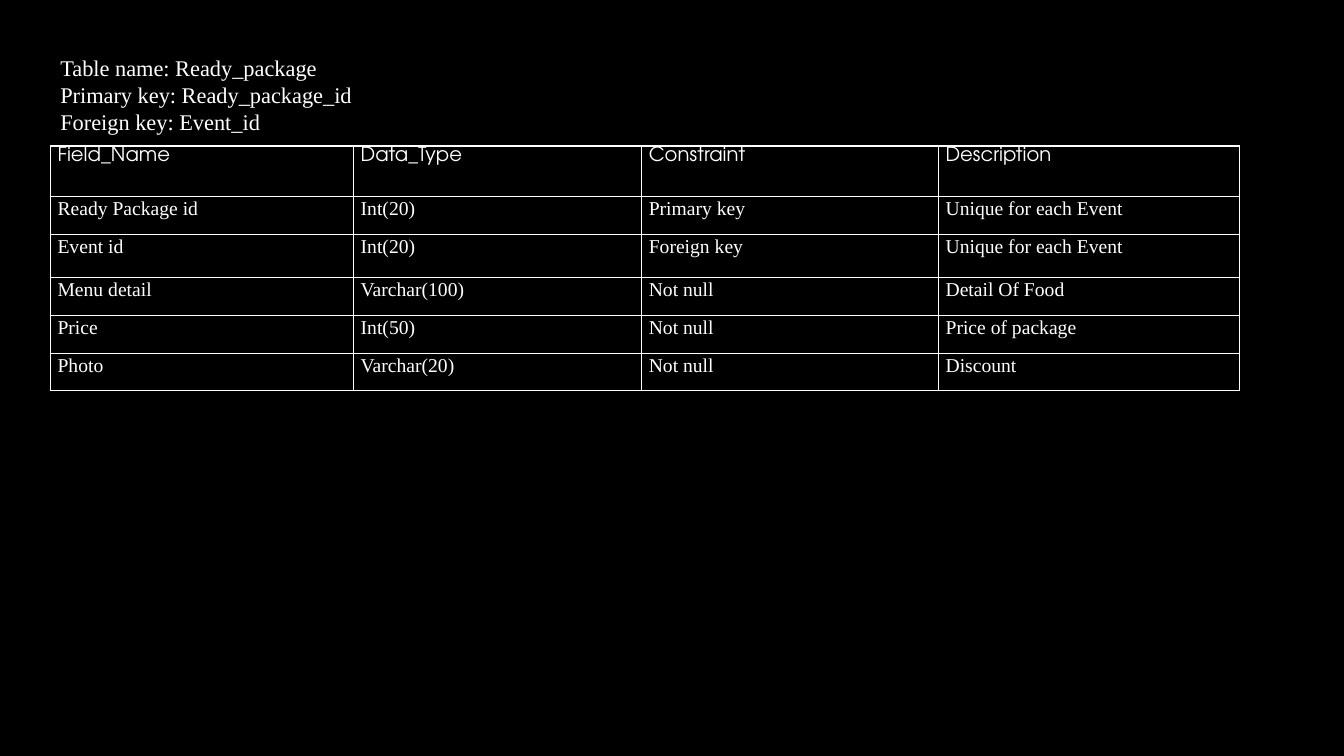
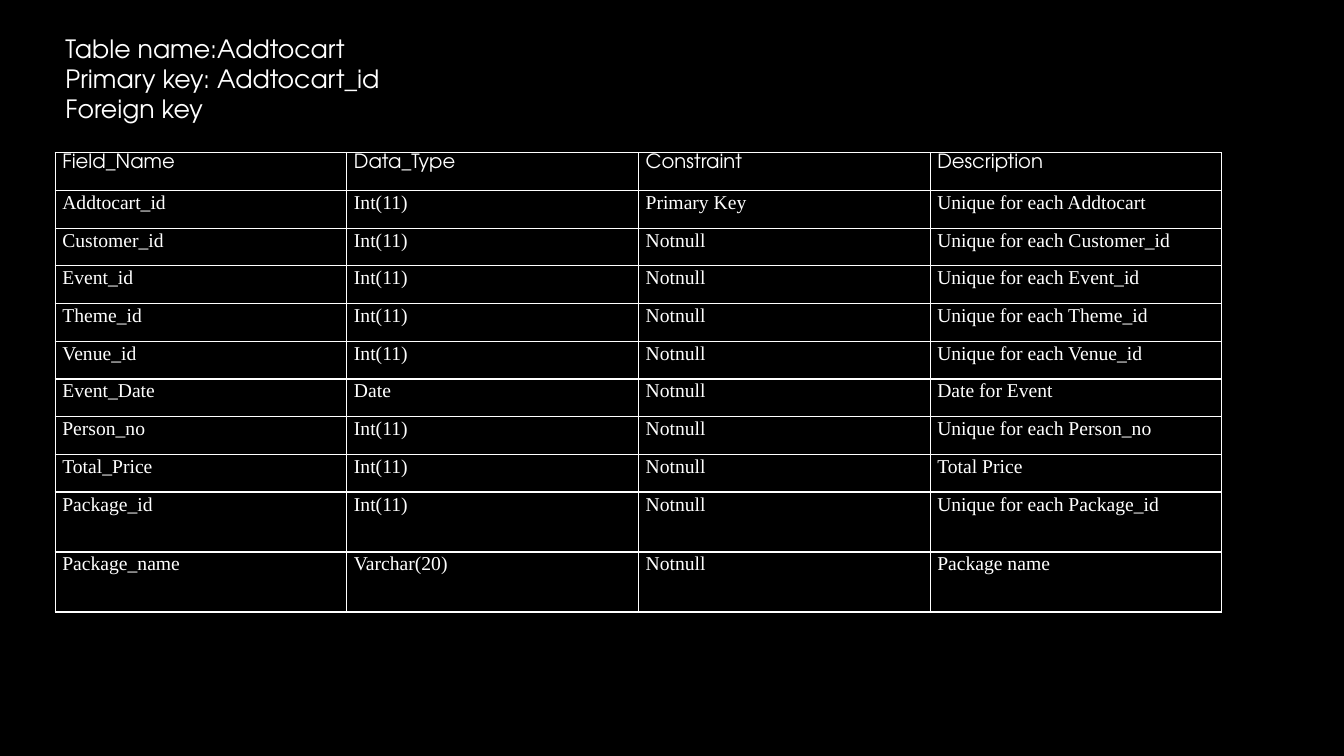
import pptx
import pptx.dml.color
import pptx.enum.text
import pptx.oxml
import pptx.oxml.ns
import pptx.util

Cm = pptx.util.Cm
Pt = pptx.util.Pt
ANCHOR = pptx.enum.text.MSO_ANCHOR
COLORS = {"background": "000000", "ink": "FFFFFF"}
SANS, SERIF = "TeX Gyre Adventor", "Times New Roman"
HEADER = ("Field_Name", "Data_Type", "Constraint", "Description")
HEADER_FORMAT = {"font": {"name": SANS, "size": Pt(14)}, "line_spacing": 1.06}
BODY_FORMAT = {"font": {"name": SERIF, "size": Pt(14)}, "line_spacing": 1.07}
CELL_FORMAT = {"margin_left": Cm(0.18), "margin_right": Cm(0.18),
               "margin_top": 0, "margin_bottom": 0, "vertical_anchor": ANCHOR.TOP}
ROW = 0.95

TABLES = [
    {
        "caption": ("Table name: Ready_package", "Primary key: Ready_package_id",
                    "Foreign key: Event_id"),
        "caption_box": (1.27, 1.22, 8, 2.31),
        "caption_font": {"name": SERIF, "size": Pt(16)},
        "anchor": ANCHOR.MIDDLE,
        "origin": (1.27, 3.68),
        "cols": (7.64, 7.26, 7.48, 7.58),
        "heights": (1.28, ROW, 1.09, ROW, ROW, ROW),
        "rows": [
            ("Ready Package id", "Int(20)", "Primary key", "Unique for each Event"),
            ("Event id", "Int(20)", "Foreign key", "Unique for each Event"),
            ("Menu detail", "Varchar(100)", "Not null", "Detail Of Food"),
            ("Price", "Int(50)", "Not null", "Price of package"),
            ("Photo", "Varchar(20)", "Not null", "Discount"),
        ],
    },
    {
        "caption": ("Table name:Addtocart", "Primary key: Addtocart_id", "Foreign key"),
        "caption_box": (1.4, 0.71, 16.94, 2.57),
        "caption_font": {"name": SANS, "size": Pt(18)},
        "anchor": ANCHOR.TOP,
        "origin": (1.39, 3.85),
        "cols": (7.35,) * 4,
        "heights": (ROW,) * 9 + (1.51,) * 2,
        "rows": [
            ("Addtocart_id", "Int(11)", "Primary Key", "Unique for each Addtocart"),
            ("Customer_id", "Int(11)", "Notnull", "Unique for each Customer_id"),
            ("Event_id", "Int(11)", "Notnull", "Unique for each Event_id"),
            ("Theme_id", "Int(11)", "Notnull", "Unique for each Theme_id"),
            ("Venue_id", "Int(11)", "Notnull", "Unique for each Venue_id"),
            ("Event_Date", "Date", "Notnull", "Date for Event"),
            ("Person_no", "Int(11)", "Notnull", "Unique for each Person_no"),
            ("Total_Price", "Int(11)", "Notnull", "Total Price"),
            ("Package_id", "Int(11)", "Notnull", "Unique for each Package_id"),
            ("Package_name", "Varchar(20)", "Notnull", "Package name"),
        ],
    },
]


def rgb(name):
    """Return the named colour."""
    return pptx.dml.color.RGBColor.from_string(COLORS[name])


def set_attrs(target, values):
    """Set each attribute of the target from a dict."""
    for name, value in values.items():
        setattr(target, name, value)


def write(p, text, font):
    """Write one run in the shared ink colour."""
    r = p.add_run()
    r.text = text
    set_attrs(r.font, font)
    r.font.color.rgb = rgb("ink")


def add_caption(s, box, lines, font, anchor):
    """Place the table's name and keys in the box."""
    tf = s.shapes.add_textbox(*map(Cm, box)).text_frame
    set_attrs(tf, {"word_wrap": True, "vertical_anchor": anchor})
    for i, line in enumerate(lines):
        write(tf.add_paragraph() if i else tf.paragraphs[0], line, font)


def add_borders(cell):
    """Draw a thin line on all four sides of a cell."""
    tc_pr = cell._tc.get_or_add_tcPr()
    for side in ("lnL", "lnR", "lnT", "lnB"):
        tc_pr.append(pptx.oxml.parse_xml(
            f'<a:{side} {pptx.oxml.ns.nsdecls("a")} w="{Pt(1)}"><a:solidFill>'
            f'<a:srgbClr val="{COLORS["ink"]}"/></a:solidFill></a:{side}>'))


def fill_cell(cell, text, style):
    """Format one cell and write its text."""
    set_attrs(cell, CELL_FORMAT)
    add_borders(cell)
    cell.fill.background()
    p = cell.text_frame.paragraphs[0]
    p.line_spacing = style["line_spacing"]
    write(p, text, style["font"])


def add_field_table(s, origin, cols, heights, rows):
    """Place the grid of fields with its top left corner at the origin."""
    size = (sum(cols), sum(heights))
    table = s.shapes.add_table(len(heights), len(cols), *map(Cm, origin + size)).table
    set_attrs(table, {"first_row": False, "horz_banding": False})
    for col, width in zip(table.columns, cols):
        col.width = Cm(width)
    for i, (row, height, texts) in enumerate(zip(table.rows, heights, [HEADER] + rows)):
        row.height = Cm(height)
        for cell, text in zip(row.cells, texts):
            fill_cell(cell, text, BODY_FORMAT if i else HEADER_FORMAT)


def add_table_slide(prs, data):
    """Build a slide that describes one database table."""
    s = prs.slides.add_slide(prs.slide_layouts[6])
    s.background.fill.solid()
    s.background.fill.fore_color.rgb = rgb("background")
    add_caption(s, data["caption_box"], data["caption"], data["caption_font"], data["anchor"])
    add_field_table(s, data["origin"], data["cols"], data["heights"], data["rows"])


def main():
    """Build and save the presentation."""
    prs = pptx.Presentation()
    set_attrs(prs, {"slide_width": Cm(33.87), "slide_height": Cm(19.05)})
    for data in TABLES:
        add_table_slide(prs, data)
    prs.save("out.pptx")


if __name__ == "__main__":
    main()
